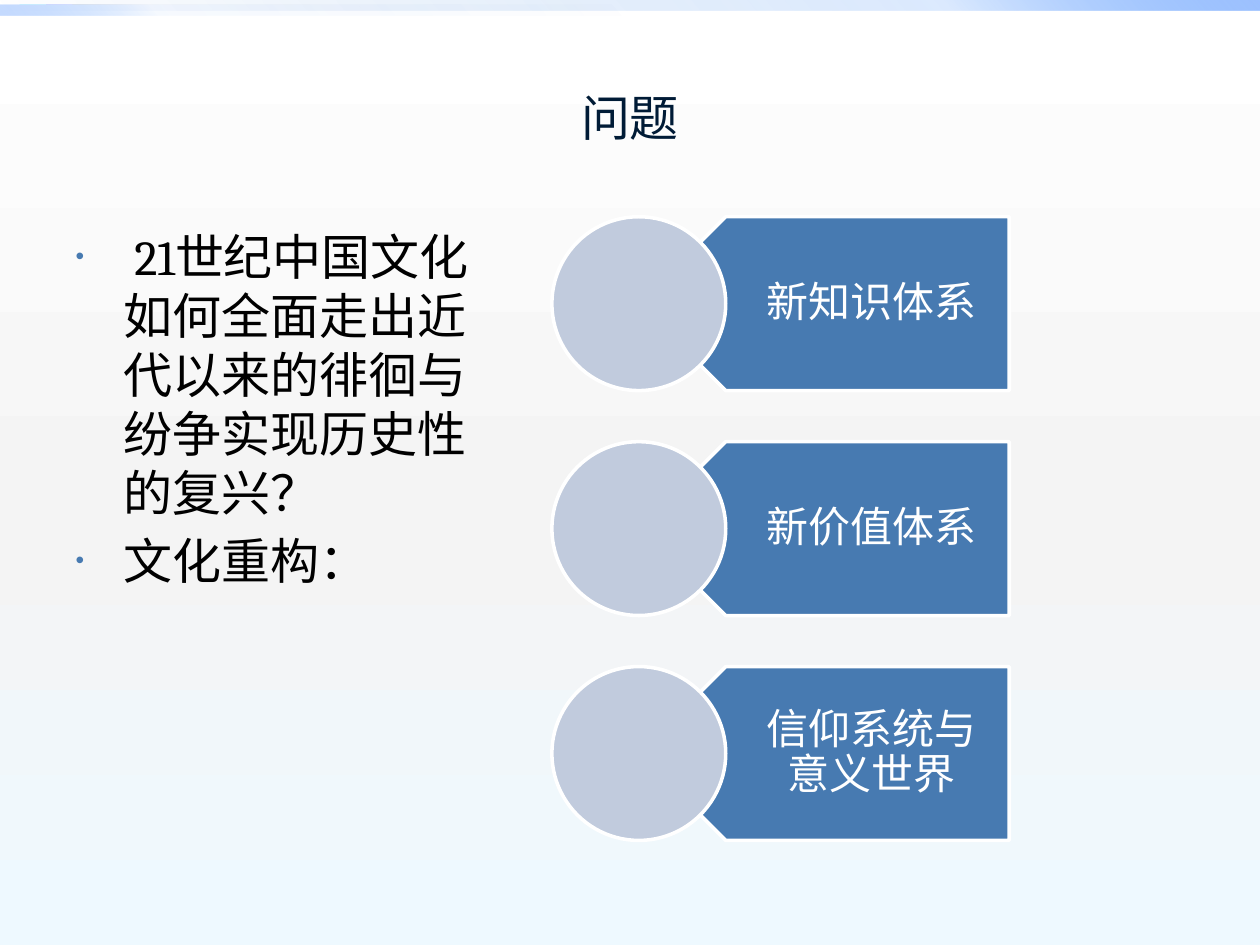
from lxml import etree
from pptx import Presentation
from pptx.dml.color import RGBColor
from pptx.enum.shapes import MSO_SHAPE
from pptx.enum.text import MSO_ANCHOR, MSO_AUTO_SIZE, PP_ALIGN
from pptx.oxml.ns import qn
from pptx.util import Inches, Pt

RECTANGLE, PENTAGON, OVAL = MSO_SHAPE.RECTANGLE, MSO_SHAPE.PENTAGON, MSO_SHAPE.OVAL
CENTER, MIDDLE, TOP = PP_ALIGN.CENTER, MSO_ANCHOR.MIDDLE, MSO_ANCHOR.TOP
NO_AUTOFIT = MSO_AUTO_SIZE.NONE

WHITE = RGBColor(0xFF, 0xFF, 0xFF)
BLACK = RGBColor(0, 0, 0)
NAVY = RGBColor(0x00, 0x1B, 0x36)
BLUE = RGBColor(0x47, 0x7A, 0xB1)
PALE_BLUE = RGBColor(0xC1, 0xCB, 0xDD)
LIGHT_GRAY = RGBColor(0xF4, 0xF4, 0xF4)
ICE = RGBColor(0xEE, 0xF9, 0xFF)
BAND_DARK = RGBColor(0x00, 0x58, 0xB7)
BAND_MID = RGBColor(0x4F, 0x95, 0xFF)
BAND_LIGHT = RGBColor(0x9E, 0xC2, 0xFF)

QUESTIONS = [" 21世纪中国文化如何全面走出近代以来的徘徊与纷争实现历史性的复兴？", "文化重构："]
SYSTEMS = ["新知识体系", "新价值体系", "信仰系统与意义世界"]


class SlideBuilder:
    title_font = "Roboto"
    body_font = "Cambria"
    body_size = 28
    label_size = 24

    def __init__(self, slide):
        self.slide = slide

    def place(self, shape, left, top, width, height):
        shape.left, shape.top = Inches(left), Inches(top)
        shape.width, shape.height = Inches(width), Inches(height)

    def style(self, paragraph, name, size, color):
        for run in paragraph.runs:
            run.font.name = name
            run.font.size = Pt(size)
            run.font.color.rgb = color

    def gradient(self, fill, element, stops, angle):
        """Each stop is (position %, colour, opacity %); the angle is clockwise."""
        fill.gradient()
        stop_list = element.find(".//" + qn("a:gsLst"))
        for stop in list(stop_list):
            stop_list.remove(stop)
        for position, color, opacity in stops:
            stop = etree.SubElement(stop_list, qn("a:gs"), pos=str(position * 1000))
            tint = etree.SubElement(stop, qn("a:srgbClr"), val=str(color))
            if opacity < 100:
                etree.SubElement(tint, qn("a:alpha"), val=str(opacity * 1000))
        element.find(".//" + qn("a:lin")).set("ang", str(angle * 60000))

    def background(self, stops):
        self.gradient(self.slide.background.fill, self.slide.element, stops, 90)

    def band(self, top, width, stops, angle):
        shape = self.slide.shapes.add_shape(
            RECTANGLE, 0, Inches(top), Inches(width), Inches(0.08))
        shape.shadow.inherit = False
        shape.line.fill.background()
        self.gradient(shape.fill, shape.element, stops, angle)

    def title(self, text, *box):
        shape = self.slide.shapes.title
        self.place(shape, *box)
        frame = shape.text_frame
        frame.text = text
        frame.vertical_anchor = MIDDLE
        frame.auto_size = NO_AUTOFIT
        frame.paragraphs[0].alignment = CENTER
        self.style(frame.paragraphs[0], self.title_font, self.body_size, NAVY)

    def bullet(self, paragraph):
        properties = paragraph._p.get_or_add_pPr()
        properties.set("marL", str(Inches(0.38)))
        properties.set("indent", str(-Inches(0.38)))
        color = etree.SubElement(properties, qn("a:buClr"))
        etree.SubElement(color, qn("a:srgbClr"), val=str(BLUE))
        etree.SubElement(properties, qn("a:buSzPct"), val="50000")
        etree.SubElement(properties, qn("a:buChar"), char="•")

    def bullets(self, items, *box):
        shape = self.slide.placeholders[1]
        self.place(shape, *box)
        frame = shape.text_frame
        frame.text = "\n".join(items)
        frame.vertical_anchor = TOP
        frame.auto_size = NO_AUTOFIT
        for index, paragraph in enumerate(frame.paragraphs):
            self.bullet(paragraph)
            paragraph.space_before = Pt(0.2 * self.body_size if index else 0)
            self.style(paragraph, self.body_font, self.body_size, BLACK)

    def outlined(self, shapes, kind, color, left, top, width, height):
        shape = shapes.add_shape(
            kind, Inches(left), Inches(top), Inches(width), Inches(height))
        shape.shadow.inherit = False
        shape.fill.solid()
        shape.fill.fore_color.rgb = color
        shape.line.color.rgb = WHITE
        shape.line.width = Pt(2)
        return shape

    def label(self, shapes, text, left, top, width, height):
        frame = shapes.add_textbox(
            Inches(left), Inches(top), Inches(width), Inches(height)).text_frame
        frame.word_wrap = True
        frame.vertical_anchor = MIDDLE
        frame.margin_left, frame.margin_right = Inches(0.61), Inches(0.19)
        frame.margin_top = frame.margin_bottom = Inches(0.1)
        frame.text = text
        paragraph = frame.paragraphs[0]
        paragraph.alignment = CENTER
        paragraph.line_spacing = 0.9
        paragraph.space_after = Pt(0.35 * self.label_size)
        self.style(paragraph, self.body_font, self.label_size, WHITE)

    def circle_list(self, items, left, top, diameter, pitch):
        shapes = self.slide.shapes.add_group_shape().shapes
        for index, text in enumerate(items):
            row = top + index * pitch
            arrow = self.outlined(shapes, PENTAGON, BLUE,
                                  left + diameter / 2, row, 2.94, diameter)
            arrow.rotation = 180
            self.label(shapes, text, left + 0.75 * diameter, row, 2.59, diameter)
            self.outlined(shapes, OVAL, PALE_BLUE, left, row, diameter, diameter)


def main():
    presentation = Presentation()
    presentation.slide_width, presentation.slide_height = Inches(10), Inches(7.5)
    slide = presentation.slides.add_slide(presentation.slide_layouts[1])
    builder = SlideBuilder(slide)

    # Background and top bands
    builder.background([(0, WHITE, 100), (55, LIGHT_GRAY, 100), (100, ICE, 100)])
    builder.band(0, 10, [(0, BAND_DARK, 0), (75, BAND_MID, 20), (100, BAND_LIGHT, 100)], 315)
    builder.band(0.04, 5, [(0, BAND_DARK, 0), (75, BAND_MID, 5), (100, BAND_LIGHT, 60)], 135)

    # Title and questions
    builder.title("问题", 0.5, 0.3, 9, 1.25)
    builder.bullets(QUESTIONS, 0.5, 1.75, 3.33, 4.95)

    # Three systems to rebuild
    builder.circle_list(SYSTEMS, 4.38, 1.72, 1.38, 1.785)

    presentation.save("out.pptx")


if __name__ == "__main__":
    main()
